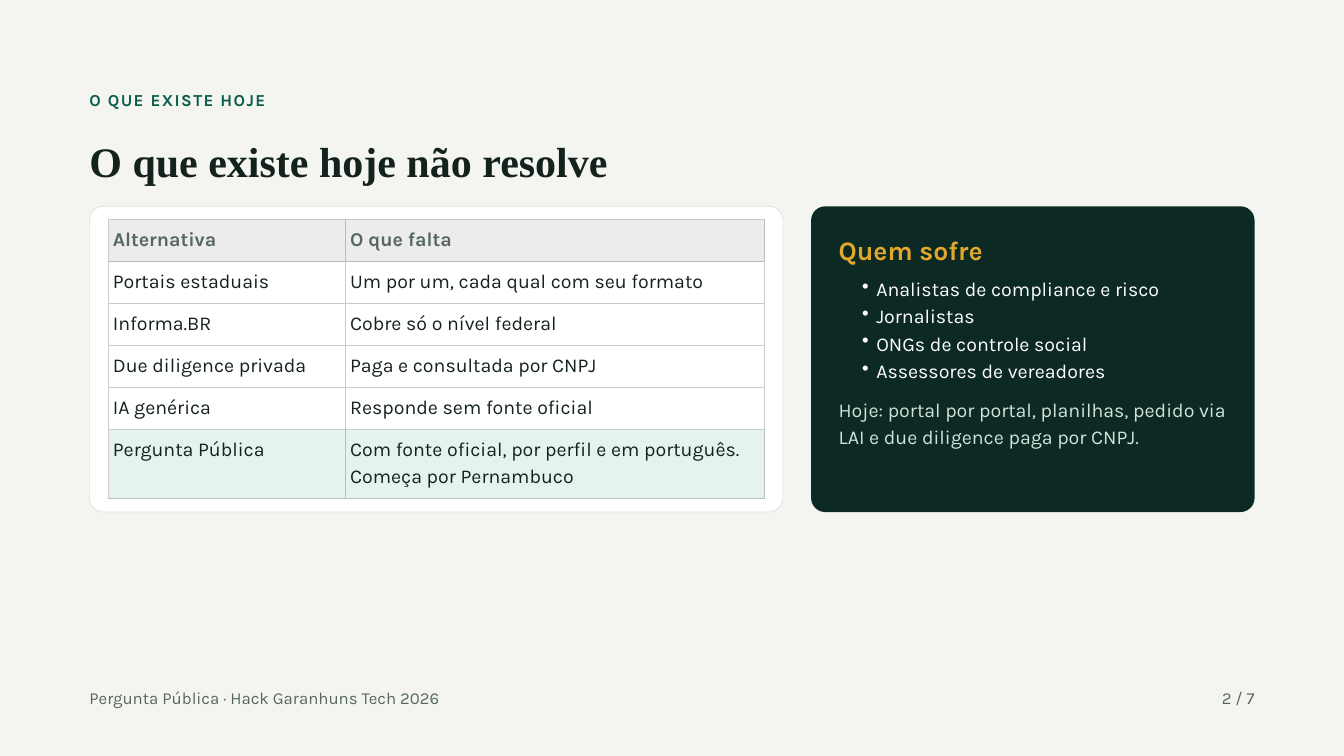
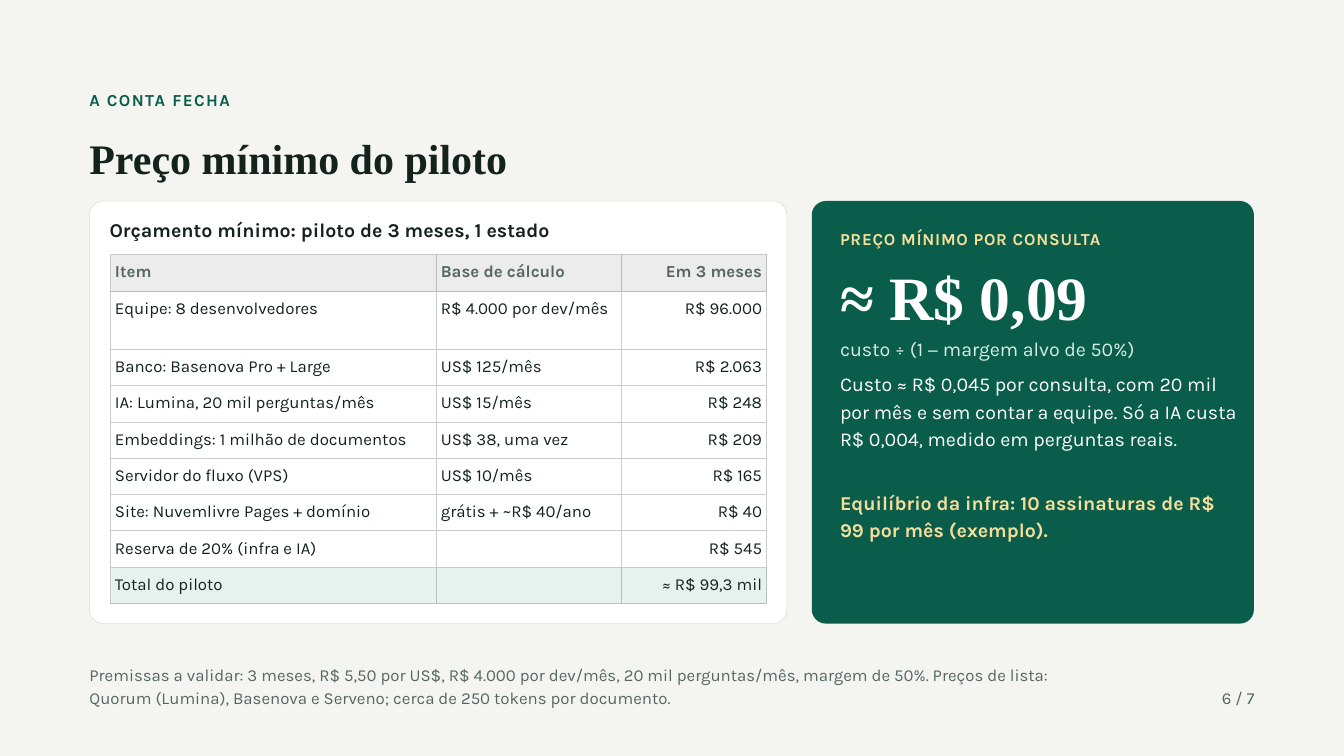
import pptx
import pptx.util
import pptx.dml.color
import pptx.enum.shapes
import pptx.enum.text
import pptx.oxml.ns
from lxml import etree

Inches, Pt = pptx.util.Inches, pptx.util.Pt
ALIGN = pptx.enum.text.PP_ALIGN

# Shared look
SANS, SERIF = "Karla", "Times New Roman"
PAPER, WHITE, INK, GREY = "F4F5F0", "FFFFFF", "14221D", "566761"
GREEN, NIGHT, GOLD, CREAM = "0B5D4B", "0C2A23", "E2A82E", "F6DE9B"
MINT, SAGE, MIST = "E6F2EE", "CFE3DB", "D9ECE5"
HEAD, EDGE = "ECECEC", "DCE3DE"
GRID, HEAD_GRID, LAST_GRID = "CBCBCB", "BCBCBC", "B8C1BE"
LEFT, RIGHT, RADIUS = 1.33, 18.67, 0.21


def color(code):
    return pptx.dml.color.RGBColor.from_string(code)


def add_xml(parent, tag, **attrs):
    return etree.SubElement(parent, pptx.oxml.ns.qn(tag), attrs)


def style(para, size, hue, bold=False, font=SANS, lead=1.4, align=ALIGN.LEFT, track=0):
    para.alignment = align
    para.line_spacing = Pt(round(size * lead, 1))
    for run in para.runs:
        run.font.name, run.font.size, run.font.bold = font, Pt(size), bold
        run.font.color.rgb = color(hue)
        if track:
            run.font._element.set("spc", str(round(track * 100)))


def add_text(slide, box, lines, size, hue, bullet=False, **look):
    frame = slide.shapes.add_textbox(*map(Inches, box)).text_frame
    frame.word_wrap = True
    frame.margin_left = frame.margin_right = frame.margin_top = frame.margin_bottom = 0
    frame.text = lines
    for para in frame.paragraphs:
        style(para, size, hue, **look)
        if bullet:
            para.level = 1
            props = para._p.get_or_add_pPr()
            props.set("marL", str(Inches(0.42)))
            props.set("indent", str(Inches(-0.21)))
            add_xml(props, "a:buChar", char="•")


def add_card(slide, box, fill, edge=None):
    kind = pptx.enum.shapes.MSO_SHAPE.ROUNDED_RECTANGLE
    card = slide.shapes.add_shape(kind, *map(Inches, box))
    card.adjustments[0] = RADIUS / min(box[2:])
    card.shadow.inherit = False
    card.fill.solid()
    card.fill.fore_color.rgb = color(fill)
    if edge:
        card.line.color.rgb = color(edge)
        card.line.width = Pt(0.75)
    else:
        card.line.fill.background()


def add_edge(cell, side, hue):
    line = add_xml(cell._tc.get_or_add_tcPr(), "a:ln" + side, w=str(Pt(1)))
    add_xml(add_xml(line, "a:solidFill"), "a:srgbClr", val=hue)


def add_table(slide, left, top, widths, heights, rows, size, pad, numbers=()):
    box = (left, top, sum(widths), sum(heights))
    shape = slide.shapes.add_table(len(rows), len(widths), *map(Inches, box))
    table = shape.table
    table.first_row = table.horz_banding = False
    for col, width in zip(table.columns, widths):
        col.width = Inches(width)
    for row, height in zip(table.rows, heights):
        row.height = Inches(height)
    last = len(rows) - 1
    fills = {0: HEAD, last: MINT}
    grids = {0: HEAD_GRID, last: LAST_GRID}
    for r, row in enumerate(rows):
        grid = grids.get(r, GRID)
        for c, words in enumerate(row):
            cell = table.cell(r, c)
            cell.margin_left = cell.margin_right = Inches(pad)
            cell.margin_top = cell.margin_bottom = Inches(pad)
            cell.text = words
            style(cell.text_frame.paragraphs[0], size, INK if r else GREY, bold=r == 0,
                  align=ALIGN.RIGHT if c in numbers else ALIGN.LEFT)
            # Borders go before the fill in the cell properties
            add_edge(cell, "L", grid if c else GRID)
            add_edge(cell, "R", grid)
            add_edge(cell, "T", HEAD_GRID if r == 1 else GRID)
            add_edge(cell, "B", grid)
            if r in fills:
                cell.fill.solid()
                cell.fill.fore_color.rgb = color(fills[r])
            else:
                cell.fill.background()


def add_page(deck, label, title, title_top, page):
    slide = deck.slides.add_slide(deck.slide_layouts[6])
    slide.background.fill.solid()
    slide.background.fill.fore_color.rgb = color(PAPER)
    add_text(slide, (LEFT, 1.29, 17.85, 0.43), label, 18, GREEN, bold=True, track=1.5)
    add_text(slide, (LEFT, title_top, 17.85, 0.73), title, 45, INK,
             bold=True, font=SERIF, lead=1.15)
    add_text(slide, (RIGHT - 2.17, 10.19, 2.17, 0.43), f"{page} / 7", 18, GREY,
             align=ALIGN.RIGHT)
    return slide


def add_today(deck):
    slide = add_page(deck, "O QUE EXISTE HOJE", "O que existe hoje não resolve", 2.05, 2)

    # Alternatives
    add_card(slide, (LEFT, 3.07, 10.32, 4.55), WHITE, EDGE)
    rows = [
        ("Alternativa", "O que falta"),
        ("Portais estaduais", "Um por um, cada qual com seu formato"),
        ("Informa.BR", "Cobre só o nível federal"),
        ("Due diligence privada", "Paga e consultada por CNPJ"),
        ("IA genérica", "Responde sem fonte oficial"),
        ("Pergunta Pública",
         "Com fonte oficial, por perfil e em português. Começa por Pernambuco"),
    ]
    add_table(slide, 1.61, 3.26, (3.53, 6.24), [0.625] * 5 + [1.04], rows, 21, 0.07)

    # Who suffers
    add_card(slide, (12.07, 3.07, 6.6, 4.55), NIGHT)
    add_text(slide, (12.48, 3.48, 5.94, 0.53), "Quem sofre", 28.5, GOLD, bold=True, lead=1.2)
    people = ("Analistas de compliance e risco", "Jornalistas",
              "ONGs de controle social", "Assessores de vereadores")
    add_text(slide, (12.62, 4.06, 5.79, 1.74), "\n".join(people), 21, WHITE, bullet=True)
    add_text(slide, (12.48, 5.86, 5.94, 0.92),
             "Hoje: portal por portal, planilhas, pedido via LAI e due diligence paga por CNPJ.",
             21, SAGE)

    add_text(slide, (LEFT, 10.19, 12.88, 0.43),
             "Pergunta Pública · Hack Garanhuns Tech 2026", 18, GREY)


def add_price(deck):
    slide = add_page(deck, "A CONTA FECHA", "Preço mínimo do piloto", 2.01, 6)

    # Budget
    add_card(slide, (LEFT, 2.99, 10.38, 6.29), WHITE, EDGE)
    add_text(slide, (1.63, 3.18, 10.07, 0.51),
             "Orçamento mínimo: piloto de 3 meses, 1 estado", 21, INK, bold=True)
    rows = [
        ("Item", "Base de cálculo", "Em 3 meses"),
        ("Equipe: 8 desenvolvedores", "R$ 4.000 por dev/mês", "R$ 96.000"),
        ("Banco: Basenova Pro + Large", "US$ 125/mês", "R$ 2.063"),
        ("IA: Lumina, 20 mil perguntas/mês", "US$ 15/mês", "R$ 248"),
        ("Embeddings: 1 milhão de documentos", "US$ 38, uma vez", "R$ 209"),
        ("Servidor do fluxo (VPS)", "US$ 10/mês", "R$ 165"),
        ("Site: Nuvemlivre Pages + domínio", "grátis + ~R$ 40/ano", "R$ 40"),
        ("Reserva de 20% (infra e IA)", "", "R$ 545"),
        ("Total do piloto", "", "≈ R$ 99,3 mil"),
    ]
    add_table(slide, 1.65, 3.79, (4.85, 2.74, 2.16), [0.54, 0.87] + [0.54] * 7,
              rows, 18, 0.06, numbers=(2,))

    # Price per query
    add_card(slide, (12.08, 2.99, 6.58, 6.29), GREEN)
    notes = [
        (3.36, 0.43, "PREÇO MÍNIMO POR CONSULTA", 18, CREAM, dict(bold=True, track=0.8)),
        (3.95, 0.98, "≈ R$ 0,09", 66, WHITE, dict(bold=True, font=SERIF, lead=1.1)),
        (4.95, 0.51, "custo ÷ (1 − margem alvo de 50%)", 21, MIST, {}),
        (5.48, 1.74, "Custo ≈ R$ 0,045 por consulta, com 20 mil por mês e sem contar a equipe. "
         "Só a IA custa R$ 0,004, medido em perguntas reais.", 21, WHITE, {}),
        (7.24, 0.92, "Equilíbrio da infra: 10 assinaturas de R$ 99 por mês (exemplo).",
         21, CREAM, dict(bold=True)),
    ]
    for top, height, words, size, hue, look in notes:
        add_text(slide, (12.5, top, 5.92, height), words, size, hue, **look)

    add_text(slide, (LEFT, 9.84, 15.02, 0.78),
             "Premissas a validar: 3 meses, R$ 5,50 por US$, R$ 4.000 por dev/mês, "
             "20 mil perguntas/mês, margem de 50%. Preços de lista: Quorum (Lumina), "
             "Basenova e Serveno; cerca de 250 tokens por documento.", 18, GREY)


def main():
    deck = pptx.Presentation()
    deck.slide_width, deck.slide_height = Inches(20), Inches(11.25)
    add_today(deck)
    add_price(deck)
    deck.save("out.pptx")


if __name__ == "__main__":
    main()
